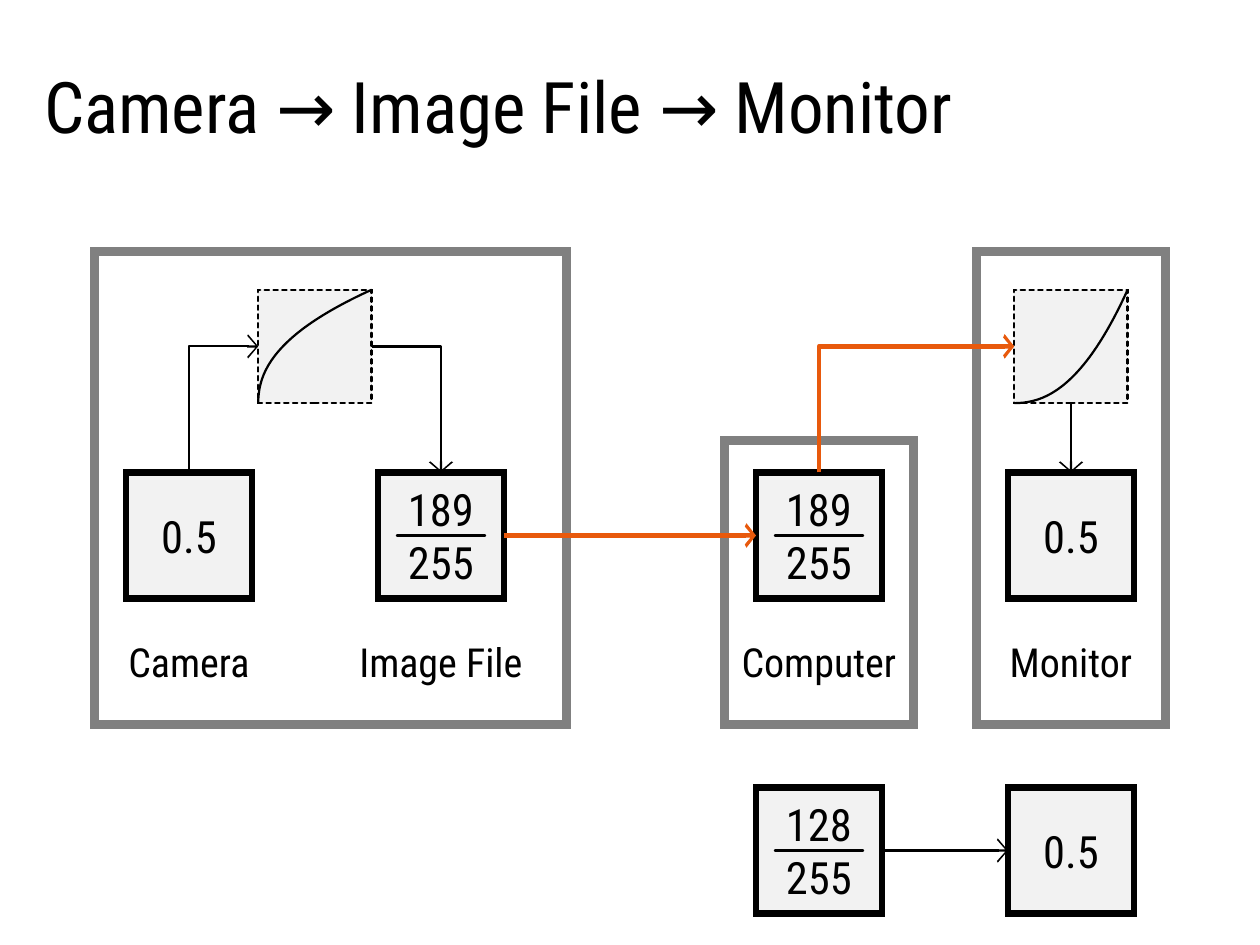
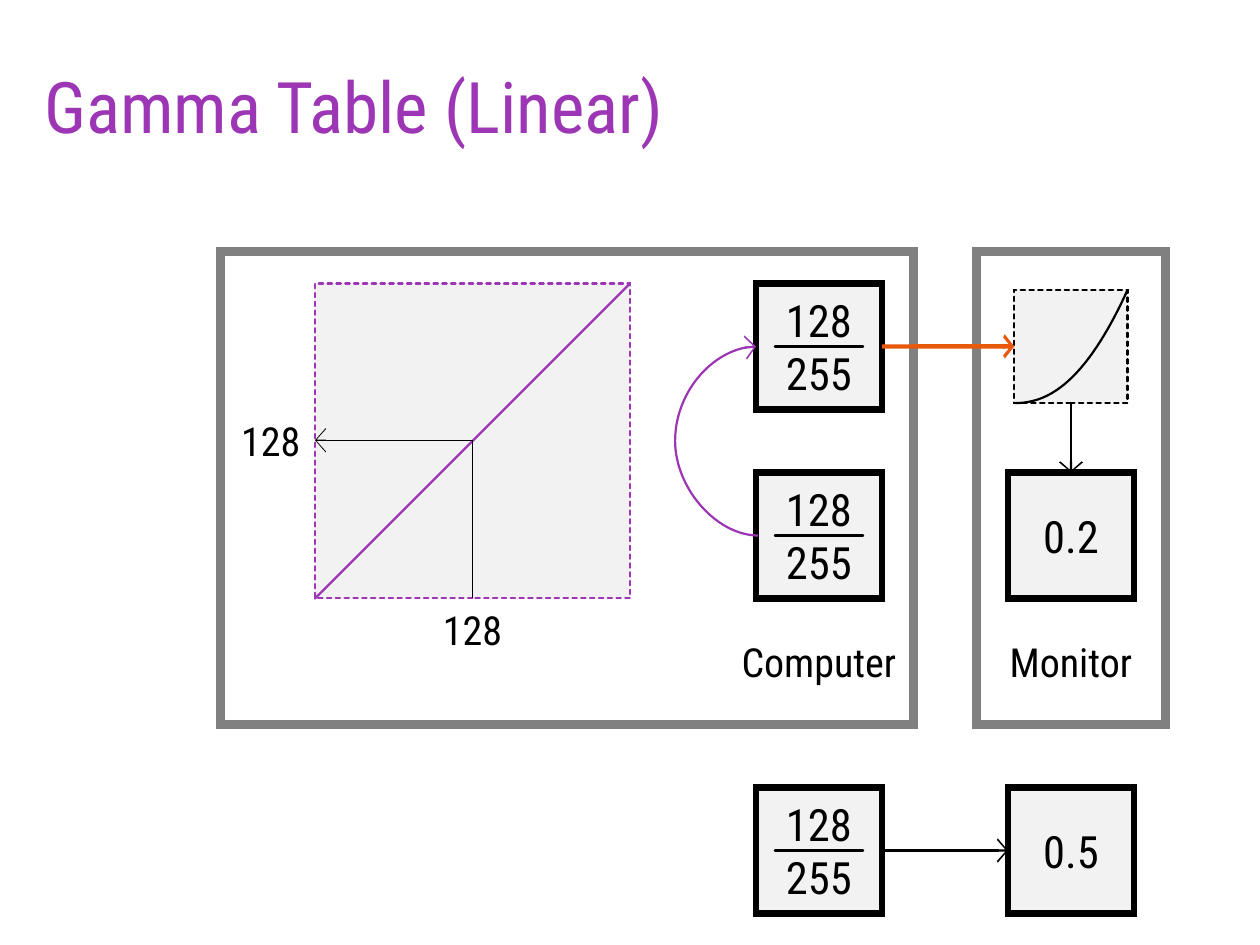
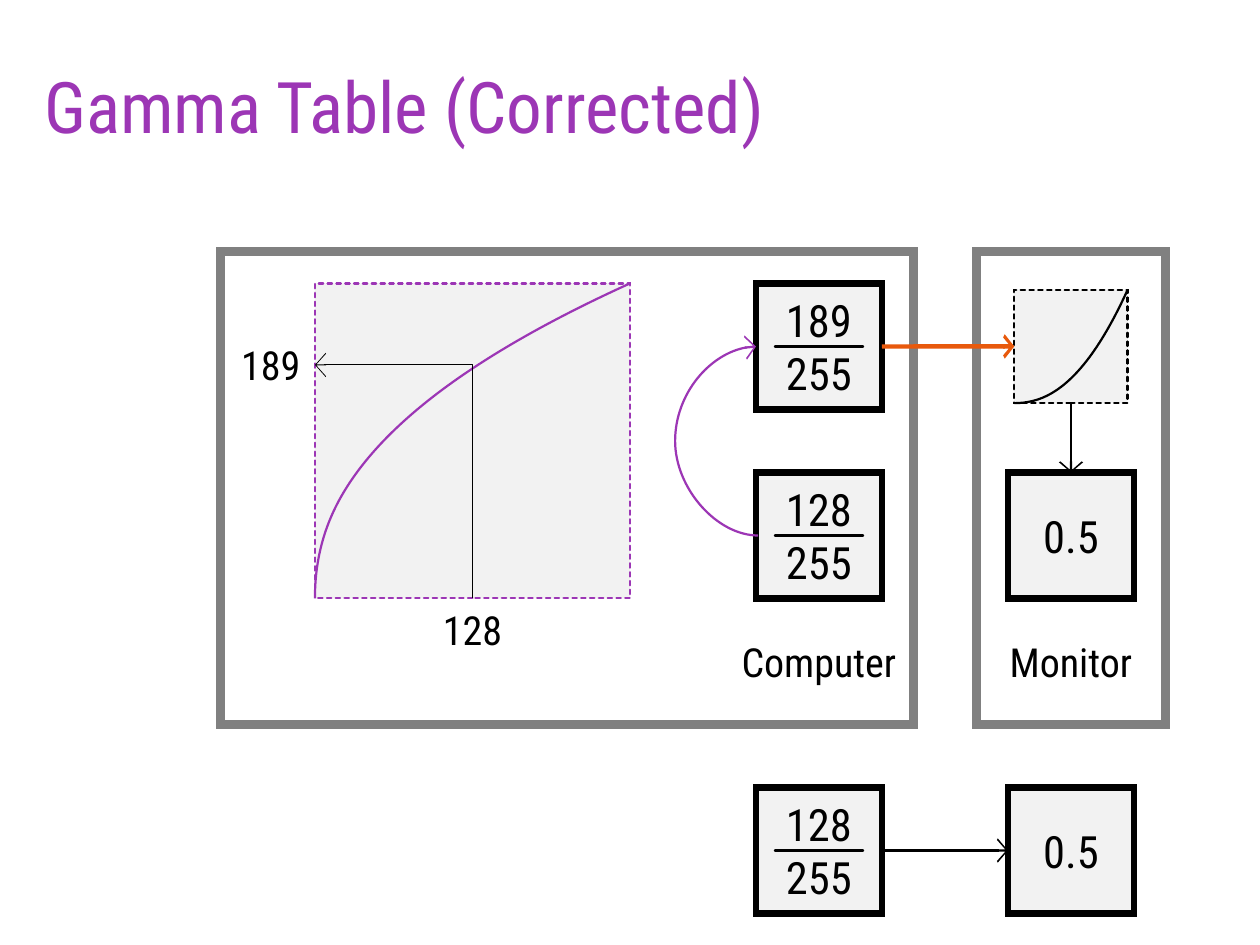
from dataclasses import dataclass

from pptx import Presentation
from pptx import util as u
from pptx.dml.color import RGBColor
from pptx.enum import dml, shapes, text
from pptx.oxml.ns import qn
from lxml import etree


@dataclass(frozen=True)
class Theme:
    font: str = "Roboto Condensed"
    black: str = "000000"
    tile: str = "F2F2F2"
    frame: str = "808080"
    signal: str = "E8590C"
    table: str = "9C36B5"
    title_size: int = 32
    value_size: int = 20
    label_size: int = 18


theme = Theme()
rgb = RGBColor.from_string
kinds = shapes.MSO_CONNECTOR
TOP, LEFT, BOTTOM, RIGHT = range(4)

SIDE = 2                                    # value square, cm
CAMERA_X, FILE_X, COMPUTER_X, MONITOR_X = 2, 6, 12, 16
UPPER_Y, VALUE_Y, REFERENCE_Y = 4.5, 7.5, 12.5
CURVE_SIDE, CURVE_Y = 1.8, 4.6
PLOT_X, PLOT_Y, PLOT_SIDE = 5, 4.5, 5
GAMMA = 2.2
LEVELS = 255
CURVE_PARTS = 3


def link(page, points=(0, 0, 0, 0), begin=None, end=None, kind=kinds.STRAIGHT,
         colour=theme.black, weight=1, arrow=True, bulge=0):
    """Draw a connector between points in cm or (shape, side) joints.

    An elbow has one corner: it rises and then turns, or runs right and then falls.
    A curve leaves and returns on the left, reaching out by bulge cm.
    """
    line = page.shapes.add_connector(kind, *[u.Cm(point) for point in points])
    if begin:
        line.begin_connect(*begin)
    if end:
        line.end_connect(*end)
    line.line.color.rgb = rgb(colour)
    line.line.width = u.Pt(weight)
    properties = line._element.spPr
    outline = line.line._get_or_add_ln()
    if arrow:
        etree.SubElement(outline, qn("a:tailEnd"), type="arrow", w="lg", len="sm")
    else:
        outline.set("cap", "rnd")
    etree.SubElement(properties, qn("a:effectLst"))
    if kind == kinds.STRAIGHT:
        return line

    across, down = line.end_x - line.begin_x, line.end_y - line.begin_y
    middle_x = (line.begin_x + line.end_x) // 2
    middle_y = (line.begin_y + line.end_y) // 2
    width, height = abs(across), abs(down)
    turn, flip_h, flip_v = 0, 0, 0
    geometry = properties.find(qn("a:prstGeom"))
    if kind == kinds.CURVE:
        turn, width = 180, u.Pt(1)
        middle_x += width // 2
        reach = round(100000 * u.Cm(bulge) / width)
        guides = geometry.find(qn("a:avLst"))
        etree.SubElement(guides, qn("a:gd"), name="adj1", fmla=f"val {reach}")
    else:
        geometry.set("prst", "bentConnector2")
        if down < 0:
            width, height = height, width
            turn, flip_h, flip_v = (90, 1, 1) if across > 0 else (270, 0, 1)
    line.left, line.top = middle_x - width // 2, middle_y - height // 2
    line.width, line.height = width, height
    transform = properties.find(qn("a:xfrm"))
    for name, value in (("rot", turn * 60000), ("flipH", flip_h), ("flipV", flip_v)):
        transform.set(name, str(value))
    return line


def box(page, words, x, y, width=SIDE, height=SIDE, size=theme.value_size,
        fill=theme.tile, line=theme.black, weight=3, dash=None):
    """Add a rectangle, or a plain label if line is None; "a/b" is set as a fraction."""
    place = [u.Cm(length) for length in (x, y, width, height)]
    if line is None:
        shape = page.shapes.add_textbox(*place)
    else:
        shape = page.shapes.add_shape(shapes.MSO_SHAPE.RECTANGLE, *place)
        shape.shadow.inherit = False
        if fill:
            shape.fill.solid()
            shape.fill.fore_color.rgb = rgb(fill)
        else:
            shape.fill.background()
        shape.line.color.rgb = rgb(line)
        shape.line.width = u.Pt(weight)
        outline = shape.line._get_or_add_ln()
        if dash:
            shape.line.dash_style = dash
            outline.set("cap", "rnd")
        etree.SubElement(outline, qn("a:miter"), lim="800000")
    if not words:
        return shape

    frame = shape.text_frame
    frame.word_wrap = True
    if line is None:
        frame.margin_left = frame.margin_right = 0
    frame.vertical_anchor = text.MSO_ANCHOR.MIDDLE
    parts = words.split("/")
    for number, part in enumerate(parts):
        para = frame.add_paragraph() if number else frame.paragraphs[0]
        para.alignment = text.PP_ALIGN.CENTER
        span = para.add_run()
        span.text = part
        span.font.name = theme.font
        span.font.size = u.Pt(size)
        span.font.color.rgb = rgb(theme.black)
    if len(parts) == 2:
        middle = y + height / 2
        link(page, (x + 0.3, middle, x + width - 0.3, middle), arrow=False)
    return shape


label_style = dict(size=theme.label_size, line=None)
frame_style = dict(fill=None, line=theme.frame, weight=4)
signal_style = dict(colour=theme.signal, weight=2)

deck = Presentation()
deck.slide_width, deck.slide_height = u.Cm(20), u.Cm(15)
layout = deck.slide_layouts[5]
heading = layout.placeholders[0]
heading.left, heading.top = u.Cm(0.5), u.Cm(0.5)
heading.width, heading.height = u.Cm(19), u.Cm(2.5)

# title, title colour, computer frame, exponent of the gamma table,
# table output, value on the monitor
pages = [
    ("Camera → Image File → Monitor", theme.black, (11.5, 7, 3, 4.5), None, None, "0.5"),
    ("Gamma Table (Linear)", theme.table, (3.5, 4, 11, 7.5), 1, 128, "0.2"),
    ("Gamma Table (Corrected)", theme.table, (3.5, 4, 11, 7.5), 1 / GAMMA, 189, "0.5"),
]

for title, title_colour, computer_frame, exponent, output, shown in pages:
    page = deck.slides.add_slide(layout)
    has_table = exponent is not None

    frame = page.shapes.title.text_frame
    frame.auto_size = text.MSO_AUTO_SIZE.NONE
    frame.vertical_anchor = text.MSO_ANCHOR.MIDDLE
    frame.margin_left = frame.margin_right = u.Cm(0.2)
    frame.margin_top = frame.margin_bottom = u.Cm(0.1)
    para = frame.paragraphs[0]
    para.alignment = text.PP_ALIGN.LEFT
    para.line_spacing = 0.9
    span = para.add_run()
    span.text = title
    span.font.name = theme.font
    span.font.size = u.Pt(theme.title_size)
    span.font.color.rgb = rgb(title_colour)

    # Device frames and their names
    frames = [computer_frame, (15.5, 4, 3, 7.5)]
    names = [("Computer", COMPUTER_X), ("Monitor", MONITOR_X)]
    if not has_table:
        frames.append((1.5, 4, 7.5, 7.5))
        names += [("Camera", CAMERA_X), ("Image File", FILE_X)]
    for place in frames:
        box(page, "", *place, **frame_style)
    for name, x in names:
        box(page, name, x - 0.5, VALUE_Y + SIDE, width=SIDE + 1, **label_style)

    # Transfer curves: x, y, side, exponent, colour
    curves = [(MONITOR_X + 0.1, CURVE_Y, CURVE_SIDE, GAMMA, theme.black)]
    if has_table:
        curves.append((PLOT_X, PLOT_Y, PLOT_SIDE, exponent, theme.table))
    else:
        curves.append((4.1, CURVE_Y, CURVE_SIDE, 1 / GAMMA, theme.black))
    tiles = []
    for x, y, side, power, colour in curves:
        tiles.append(box(page, "", x, y, side, side, line=colour, weight=1,
                         dash=dml.MSO_LINE.SQUARE_DOT))
        if power == 1:
            link(page, (x, y + side, x + side, y), colour=colour, arrow=False)
            continue
        # Each third is a Bézier: two handles along the tangents, then the end point
        knots = [(0, 0)]
        for part in range(CURVE_PARTS):
            start, stop = part / CURVE_PARTS, (part + 1) / CURVE_PARTS
            third = (stop - start) / 3
            low = start ** GAMMA + third * GAMMA * start ** (GAMMA - 1)
            high = stop ** GAMMA - third * GAMMA * stop ** (GAMMA - 1)
            knots += [(start + third, low), (stop - third, high), (stop, stop ** GAMMA)]
        if power < 1:
            knots = [(across, up) for up, across in knots]
        dots = [(u.Cm(x + side * across), u.Cm(y + side * (1 - up))) for across, up in knots]
        builder = page.shapes.build_freeform(*dots[0])
        builder.add_line_segments(dots[1:], close=False)
        curve = builder.convert_to_shape()
        segments = list(curve._element.iter(qn("a:lnTo")))
        for first in range(0, len(segments), 3):
            bezier = etree.Element(qn("a:cubicBezTo"))
            segments[first].addprevious(bezier)
            for segment in segments[first:first + 3]:
                bezier.append(segment[0])
                segment.getparent().remove(segment)
        curve.shadow.inherit = False
        curve.fill.background()
        curve.line.color.rgb = rgb(colour)
        curve.line.width = u.Pt(1)
    display_curve, other_curve = tiles

    # Values inside the devices
    stored = "128/255" if has_table else "189/255"
    computer = box(page, stored, COMPUTER_X, VALUE_Y)
    monitor = box(page, shown, MONITOR_X, VALUE_Y)
    link(page, begin=(display_curve, BOTTOM), end=(monitor, TOP))

    # Wanted result below the devices
    wanted = box(page, "128/255", COMPUTER_X, REFERENCE_Y)
    result = box(page, "0.5", MONITOR_X, REFERENCE_Y)
    link(page, begin=(wanted, RIGHT), end=(result, LEFT))

    if has_table:
        sent = box(page, f"{output}/{LEVELS}", COMPUTER_X, UPPER_Y)
        link(page, begin=(computer, LEFT), end=(sent, LEFT), kind=kinds.CURVE,
             colour=theme.table, bulge=1.33)
        link(page, begin=(sent, RIGHT), end=(display_curve, LEFT), **signal_style)

        output_y = PLOT_Y + PLOT_SIDE * (1 - output / LEVELS)
        input_label = box(page, "128", PLOT_X + PLOT_SIDE / 2 - 0.7, PLOT_Y + PLOT_SIDE,
                          1.4, 1, **label_style)
        output_label = box(page, str(output), PLOT_X - 1.4, output_y - 0.5,
                           1.4, 1, **label_style)
        link(page, begin=(input_label, TOP), end=(output_label, RIGHT),
             kind=kinds.ELBOW, weight=0.5)
    else:
        camera = box(page, "0.5", CAMERA_X, VALUE_Y)
        image_file = box(page, "189/255", FILE_X, VALUE_Y)
        link(page, begin=(camera, TOP), end=(other_curve, LEFT), kind=kinds.ELBOW)
        link(page, begin=(other_curve, RIGHT), end=(image_file, TOP), kind=kinds.ELBOW)
        link(page, begin=(computer, TOP), end=(display_curve, LEFT),
             kind=kinds.ELBOW, **signal_style)
        link(page, begin=(image_file, RIGHT), end=(computer, LEFT), **signal_style)

deck.save("out.pptx")
